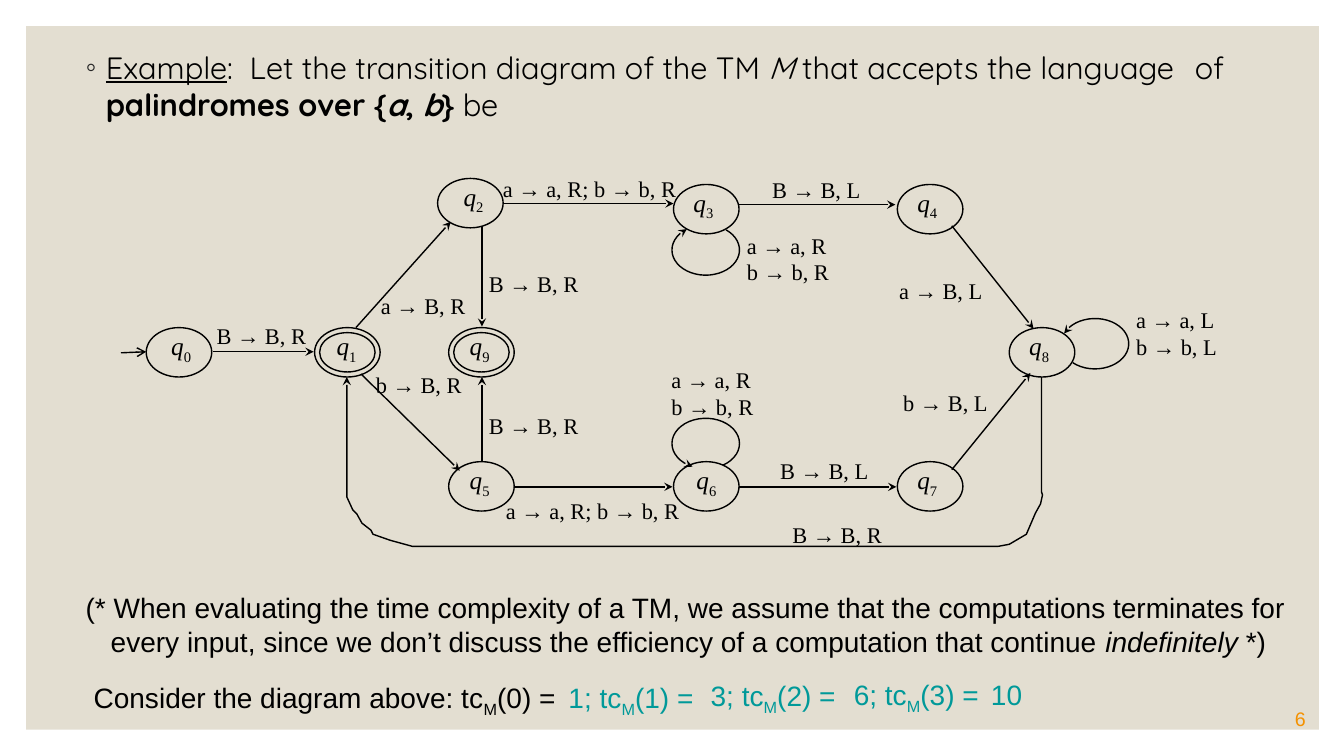
"""Build a slide with the transition diagram of a palindrome Turing machine."""
import math
from dataclasses import dataclass

import pptx
import pptx.dml.color
import pptx.enum.shapes
import pptx.enum.text
import pptx.oxml
import pptx.oxml.ns
import pptx.util
from lxml import etree

Inches = pptx.util.Inches
qn = pptx.oxml.ns.qn


@dataclass(frozen=True)
class Theme:
    ink: str = "000000"
    bullet: str = "262626"
    panel: str = "E3DED1"
    answer: str = "009999"
    page: str = "F49100"
    heading_face: str = "Quicksand"
    note_face: str = "Arial"
    diagram_face: str = "Times New Roman"
    heading_size: int = 22
    note_size: int = 20
    state_size: int = 18
    move_size: int = 16
    page_size: int = 14
    stroke: int = 1


theme = Theme()


def write(paragraph, runs, face, size, color):
    paragraph.font.name = face
    paragraph.font.size = pptx.util.Pt(size)
    paragraph.font.color.rgb = pptx.dml.color.RGBColor.from_string(color)
    for text, style in runs:
        run = paragraph.add_run()
        run.text = text
        if "b" in style:
            run.font.bold = True
        if "i" in style:
            run.font.italic = True
        if "u" in style:
            run.font.underline = True
        if "s" in style:
            run._r.get_or_add_rPr().set("baseline", "-25000")


def trace(shape, arrow=None):
    shape.line.color.rgb = pptx.dml.color.RGBColor.from_string(theme.ink)
    shape.line.width = pptx.util.Pt(theme.stroke)
    if arrow:
        etree.SubElement(shape.line._get_or_add_ln(), qn("a:tailEnd"), type=arrow)
    etree.SubElement(shape._element.spPr, qn("a:effectLst"))


deck = pptx.Presentation()
deck.slide_width, deck.slide_height = Inches(13.33), Inches(7.5)
slide = deck.slides.add_slide(deck.slide_layouts[1])
shapes = slide.shapes
shapes.title._element.getparent().remove(shapes.title._element)

panel = shapes.add_shape(pptx.enum.shapes.MSO_SHAPE.RECTANGLE,
                         Inches(0.26), Inches(0.26), Inches(12.82), Inches(6.98))
panel.fill.solid()
panel.fill.fore_color.rgb = pptx.dml.color.RGBColor.from_string(theme.panel)
panel.line.fill.background()
panel.shadow.inherit = False
shapes._spTree.insert(2, panel._element)

example = slide.placeholders[1]
example.left, example.top = Inches(0.75), Inches(0.43)
example.width, example.height = Inches(12), Inches(0.9)
example.text_frame.auto_size = pptx.enum.text.MSO_AUTO_SIZE.NONE
statement = example.text_frame.paragraphs[0]
statement.space_before = pptx.util.Pt(9)
statement_format = statement._p.get_or_add_pPr()
statement_format.set("marL", str(Inches(0.2)))
statement_format.set("indent", str(Inches(-0.2)))
bullet_color = etree.SubElement(statement_format, qn("a:buClr"))
etree.SubElement(bullet_color, qn("a:srgbClr"), val=theme.bullet)
etree.SubElement(statement_format, qn("a:buChar"), char="◦")
write(statement, [("Example", "u"), (":  Let the transition diagram of the TM ", ""), ("M", "i"),
                  (" that accepts the language \tof ", ""), ("palindromes over {", "b"),
                  ("a", "bi"), (", ", "b"), ("b", "bi"), ("} ", "b"), ("be", "")],
      theme.heading_face, theme.heading_size, theme.ink)

remarks = shapes.add_textbox(Inches(0.44), Inches(5.81), Inches(12.67), Inches(1.41)).text_frame
remarks.word_wrap = True
assumption, question = remarks.paragraphs[0], remarks.add_paragraph()
question.space_before = pptx.util.Pt(16)
for remark, margin, indent, runs in [
    (assumption, 0.56, -0.25,
     [("(* When evaluating the time complexity of a TM, we assume that the computations terminates "
       "for every input, since we don’t discuss the efficiency of a computation that continue ", ""),
      ("indefinitely ", "i"), ("*)", "")]),
    (question, 0.39, 0, [("Consider the diagram above: tc", ""), ("M", "s"), ("(0) =", "")]),
]:
    remark._p.get_or_add_pPr().set("marL", str(Inches(margin)))
    remark._p.get_or_add_pPr().set("indent", str(Inches(indent)))
    write(remark, runs, theme.note_face, theme.note_size, theme.ink)

captions = []
for left, top, width, runs in [
    (5.54, 6.7, 1.47, [("1; tc", ""), ("M", "s"), ("(1) =", "")]),
    (6.95, 6.68, 1.47, [("3; tc", ""), ("M", "s"), ("(2) =", "")]),
    (8.37, 6.67, 1.47, [("6; tc", ""), ("M", "s"), ("(3) =", "")]),
    (9.73, 6.67, 0.51, [("10", "")]),
]:
    captions.append((left, top, width, 0.44, [runs], theme.note_face, theme.note_size, theme.answer, False))

state_width, state_height, ring_gap = 0.65, 0.49, 0.05
accepting = {1, 9}
for number, left, top, label_shift in [
    (0, 1.45, 3.25, 0.15), (1, 3.12, 3.25, 0.12), (2, 4.34, 1.77, 0.16), (3, 6.68, 1.83, 0.1),
    (4, 8.9, 1.83, 0.1), (5, 4.45, 4.58, 0.11), (6, 6.68, 4.58, 0.13), (7, 8.9, 4.58, 0.1),
    (8, 10.01, 3.25, 0.1), (9, 4.45, 3.25, 0.11),
]:
    for gap in [0, ring_gap] if number in accepting else [0]:
        ring = shapes.add_shape(pptx.enum.shapes.MSO_SHAPE.OVAL, Inches(left + gap), Inches(top + gap),
                                Inches(state_width - 2 * gap), Inches(state_height - 2 * gap))
        ring.fill.background()
        trace(ring)
    captions.append((left + label_shift, top - 0.02, 0.67, 0.4, [[("q", "i"), (str(number), "s")]],
                     theme.diagram_face, theme.state_size, theme.ink, True))

for start_x, start_y, end_x, end_y, arrow in [
    (1.2, 3.5, 1.45, 3.49, "arrow"), (2.11, 3.49, 3.11, 3.49, "stealth"),
    (4.99, 2.02, 6.68, 2.02, "stealth"), (7.32, 2.03, 8.88, 2.03, "stealth"),
    (5.11, 4.83, 6.67, 4.83, "stealth"), (7.33, 4.83, 8.89, 4.83, "stealth"),
    (3.53, 3.25, 4.47, 2.2, "stealth"), (3.58, 3.71, 4.56, 4.67, "stealth"),
    (4.78, 2.24, 4.78, 3.24, "stealth"), (4.78, 4.58, 4.78, 3.74, "stealth"),
    (9.44, 2.24, 10.25, 3.26, "stealth"), (9.44, 4.66, 10.22, 3.7, "stealth"),
]:
    trace(shapes.add_connector(pptx.enum.shapes.MSO_CONNECTOR.STRAIGHT, Inches(start_x), Inches(start_y),
                               Inches(end_x), Inches(end_y)), arrow)

return_route = [(10.33, 3.74), (10.33, 4.88), (10.34, 4.91), (10.32, 5), (10.27, 5.09), (10.18, 5.3),
                (10.01, 5.4), (9.9, 5.42), (4.09, 5.42), (3.87, 5.36), (3.7, 5.3), (3.68, 5.26),
                (3.59, 5.19), (3.54, 5.1), (3.5, 5.06), (3.44, 4.93), (3.44, 3.74)]
routes = [return_route]
loop_radius_x, loop_radius_y, loop_steps = 0.335, 0.25, 36
for center_x, center_y, start_angle, end_angle in [
    (7, 2.48, -53, 236), (7, 4.4, 59, -247), (10.86, 3.41, 131, -156),
]:
    angles = [math.radians(start_angle + (end_angle - start_angle) * step / loop_steps)
              for step in range(loop_steps + 1)]
    routes.append([(center_x + loop_radius_x * math.cos(angle), center_y + loop_radius_y * math.sin(angle))
                   for angle in angles])
for route in routes:
    points = [(Inches(x), Inches(y)) for x, y in route]
    builder = shapes.build_freeform(*points[0])
    builder.add_line_segments(points[1:], close=False)
    curve = builder.convert_to_shape()
    curve.fill.background()
    trace(curve, "stealth")

for left, top, width, moves in [
    (2.05, 3.15, 1.09, ["B → B, R"]), (3.68, 2.85, 1.05, ["a → B, R"]),
    (3.63, 3.63, 1.06, ["b → B, R"]), (4.89, 1.69, 1.94, ["a → a, R; b → b, R"]),
    (4.92, 4.88, 1.94, ["a → a, R; b → b, R"]), (4.75, 2.63, 1.09, ["B → B, R"]),
    (4.75, 4.04, 1.09, ["B → B, R"]), (7.31, 2.25, 1.02, ["a → a, R", "b → b, R"]),
    (6.56, 3.58, 1.02, ["a → a, R", "b → b, R"]), (7.56, 1.7, 1.08, ["B → B, L"]),
    (7.64, 4.49, 1.08, ["B → B, L"]), (8.82, 2.7, 1.03, ["a → B, L"]),
    (8.86, 3.81, 1.05, ["b → B, L"]), (11.17, 2.99, 1.01, ["a → a, L", "b → b, L"]),
    (7.76, 5.12, 1.09, ["B → B, R"]),
]:
    captions.append((left, top, width, 0.1 + 0.27 * len(moves), [[(move, "")] for move in moves],
                     theme.diagram_face, theme.move_size, theme.ink, False))

for left, top, width, height, lines, face, size, color, wraps in captions:
    caption = shapes.add_textbox(Inches(left), Inches(top), Inches(width), Inches(height)).text_frame
    caption.word_wrap = wraps
    caption.auto_size = pptx.enum.text.MSO_AUTO_SIZE.SHAPE_TO_FIT_TEXT
    for index, runs in enumerate(lines):
        write(caption.add_paragraph() if index else caption.paragraphs[0], runs, face, size, color)

page_number = shapes.add_textbox(Inches(11.45), Inches(7), Inches(1.6), Inches(0.3)).text_frame
page_number.word_wrap = True
page_number.vertical_anchor = pptx.enum.text.MSO_ANCHOR.BOTTOM
page_number.paragraphs[0].alignment = pptx.enum.text.PP_ALIGN.RIGHT
write(page_number.paragraphs[0], [("6", "")], theme.note_face, theme.page_size, theme.page)

deck.save("out.pptx")
